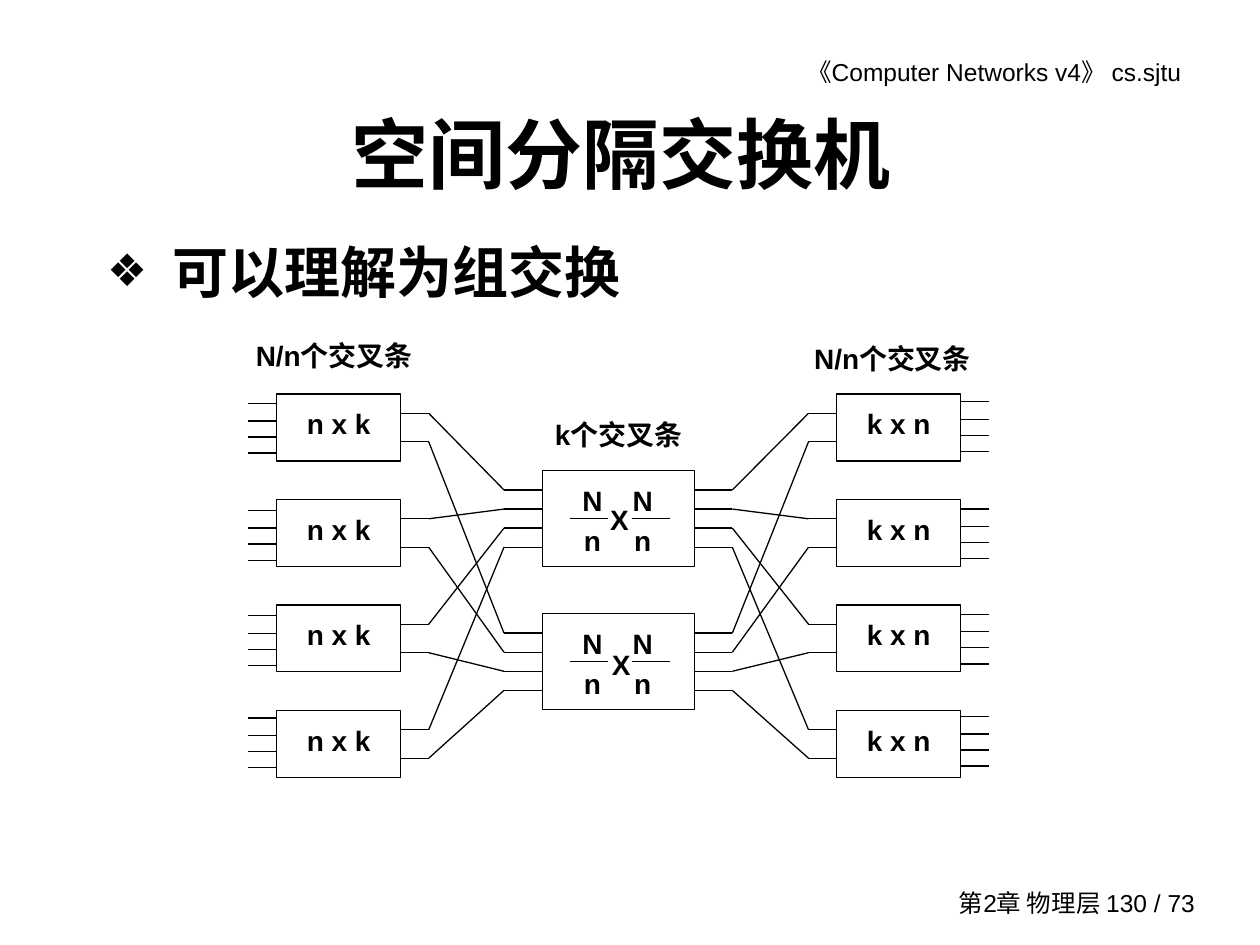
from pptx import Presentation
from pptx.dml.color import RGBColor
from pptx.enum.shapes import MSO_CONNECTOR as Conn, MSO_SHAPE as Form
from pptx.enum.text import MSO_ANCHOR as Anchor, MSO_AUTO_SIZE as Auto, PP_ALIGN as Align
from pptx.oxml.ns import qn
from pptx.util import Pt
from lxml.etree import SubElement as Sub

COLORS = {"ink": "000000"}
INK = RGBColor.from_string(COLORS["ink"])
HAN = "Noto Sans CJK SC"

deck = Presentation()
deck.slide_width, deck.slide_height = Pt(720), Pt(540)
slide = deck.slides.add_slide(deck.slide_layouts[1])
shapes = slide.shapes


def write(shape, text, size=16, bold=True, font="Arial", align=Align.CENTER,
          space=1, anchor=Anchor.TOP, right=7.2, bullet=None, tabs=()):
    frame = shape.text_frame
    frame.word_wrap, frame.auto_size = True, Auto.NONE
    frame.vertical_anchor = anchor
    frame.margin_left, frame.margin_right = Pt(7.2), Pt(right)
    frame.margin_top = frame.margin_bottom = Pt(3.6)
    frame.text = text
    for para in frame.paragraphs:
        para.alignment, para.line_spacing = align, space
        para.space_before = Pt(0)
        props = para._p.get_or_add_pPr()
        if bullet:
            props.set("marL", str(Pt(37.5)))
            props.set("indent", str(Pt(-37.5)))
            Sub(props, qn("a:buSzPct"), val="80000")
            Sub(props, qn("a:buChar"), char=bullet)
        if tabs:
            stops = Sub(props, qn("a:tabLst"))
            for pos in tabs:
                Sub(stops, qn("a:tab"), pos=str(Pt(pos)), algn="ctr")
        for run in para.runs:
            run.font.size, run.font.bold = Pt(size), bold
            run.font.name, run.font.color.rgb = font, INK
            Sub(run._r.get_or_add_rPr(), qn("a:ea"), typeface=HAN)


def draw(x1, y1, x2, y2):
    line = shapes.add_connector(Conn.STRAIGHT, Pt(x1), Pt(y1), Pt(x2), Pt(y2))
    line.line.color.rgb, line.line.width = INK, Pt(0.75)
    Sub(line._element.spPr, qn("a:effectLst"))


# Title and list
title, body = shapes.title, slide.placeholders[1]
for holder, top, high in ((title, 48, 78), (body, 132, 48)):
    holder.left, holder.top = Pt(54), Pt(top)
    holder.width, holder.height = Pt(612), Pt(high)
write(title, "空间分隔交换机 ", size=44, font=HAN, anchor=Anchor.MIDDLE)
write(body, "可以理解为组交换", size=32, align=Align.LEFT, bullet="❖")

# Header, footer, captions and the cross signs
small = dict(size=14, bold=False, align=Align.RIGHT)
for x, y, w, h, text, form in (
    (380, 29, 310, 24, "《Computer Networks v4》 cs.sjtu", dict(small, right=15)),
    (527, 504, 163, 24, "第2章 物理层 130 / 73", dict(small, anchor=Anchor.MIDDLE)),
    (120.5, 186, 141, 38, "N/n个交叉条", dict(space=1.2)),
    (444, 186, 132, 38, "N/n个交叉条", dict(space=1.3)),
    (283, 229.5, 141, 38, "k个交叉条", dict(space=1.3)),
    (335, 280, 38, 33, "X", dict(space=1.2)),
    (336, 370, 38, 33, "X", dict(space=0.8)),
):
    write(shapes.add_textbox(Pt(x), Pt(y), Pt(w), Pt(h)), text, **form)

# Switch boxes: four on each side, two in the middle
rows = [225.2 + 60.25 * i for i in range(4)]
mids = [269, 350.8]
boxes = [(x, y, 71, 38.2, text, ())
         for x, text in ((158, "n x k"), (478, "k x n")) for y in rows]
boxes += [(310, y, 87, 54.7, "\tN\tN\n\tn\tn", (21.4, 50.2)) for y in mids]
for x, y, w, h, text, tabs in boxes:
    box = shapes.add_shape(Form.RECTANGLE, Pt(x), Pt(y), Pt(w), Pt(h))
    box.shadow.inherit = False
    box.fill.background()
    box.line.color.rgb, box.line.width = INK, Pt(0.75)
    align = Align.LEFT if tabs else Align.CENTER
    write(box, text, space=1.2, align=align, tabs=tabs)

# Fraction bars
for y in mids:
    for x in (326, 361):
        draw(x, y + 27.3, x + 21.7, y + 27.3)

# Port j of side box i runs to port i of middle box j
for edge, bend, turn, port in ((229, 245, 288, 310), (478, 462, 418.5, 397)):
    for i, row in enumerate(rows):
        for j, mid in enumerate(mids):
            start, end = row + 11 + 16.3 * j, mid + 11 + 10.9 * i
            draw(edge, start, bend, start)
            draw(bend, start, turn, end)
            draw(turn, end, port, end)

# Outer stubs
for x, lift in ((142, 0), (549, 0.9)):
    for y in (230.5, 291.7, 351.9, 410.3):
        for step in (0, 10, 19.2, 28.4):
            draw(x, y + step - lift, x + 16, y + step - lift)

deck.save("out.pptx")
